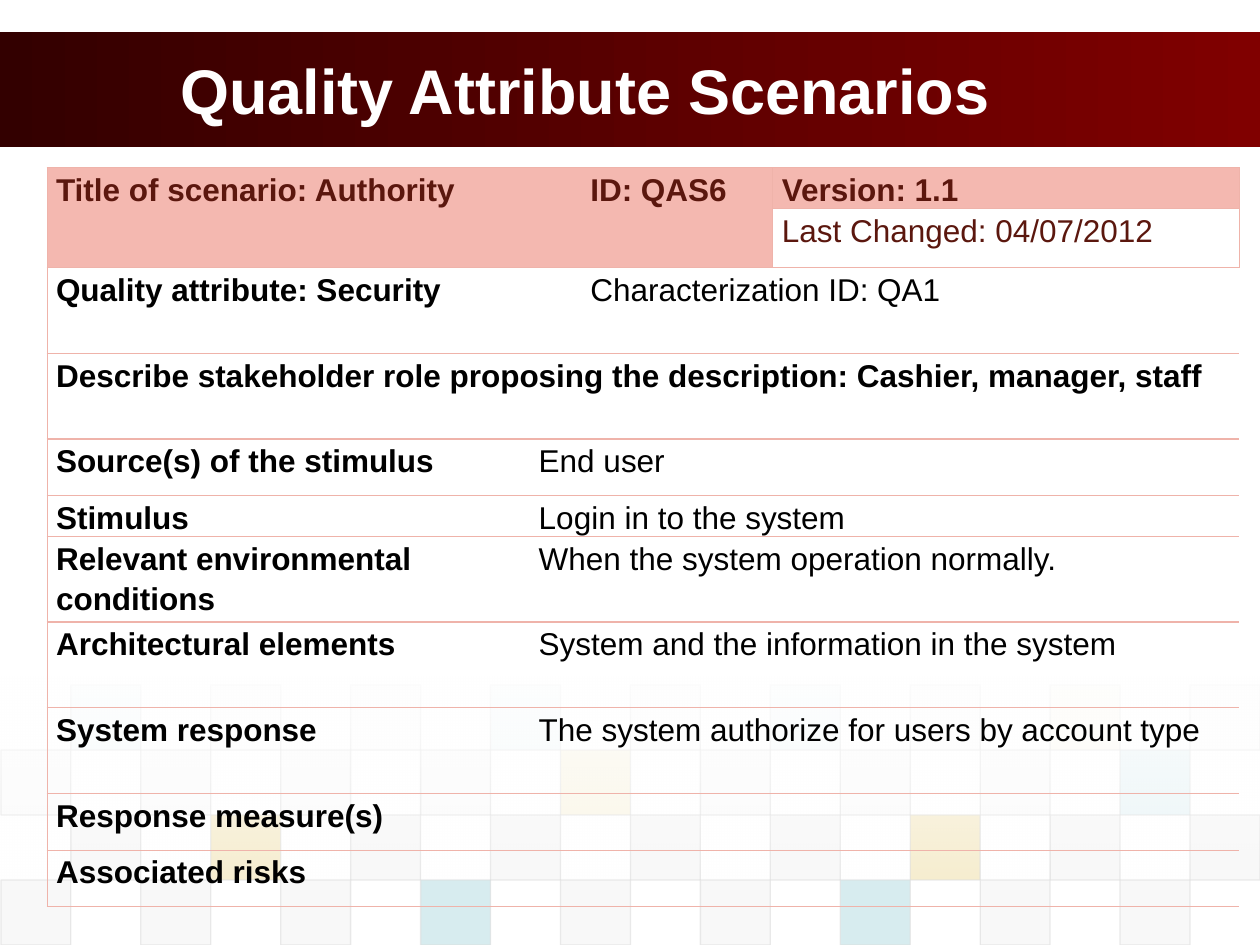
"""Build the Quality Attribute Scenarios slide with its authority scenario table."""
from pptx import Presentation, util as u
from pptx.dml.color import RGBColor
from pptx.enum import shapes, text
from pptx.oxml import ns
from lxml import etree

FONT = "Arial"
BORDER, HEADER_FILL, HEADER_TEXT, BLACK = "EFB3AA", "F4B8B0", "5B170E", "000000"
NO_GRID_STYLE = "{2D5ABB26-0587-4C30-8999-92F81FD0307C}"

COLUMNS = [9.73, 1.04, 3.86, 9.4]
ROWS = [0.82, 1.19, 1.73, 1.73, 1.14, 0.82, 1.73, 1.73, 1.73, 1.14, 1.14]
HEADER = [
    (0, 0, 2, 2, "Title of scenario: Authority", True),
    (0, 2, 2, 1, "ID: QAS6", True),
    (0, 3, 1, 1, "Version: 1.1", True),
    (1, 3, 1, 1, "Last Changed: 04/07/2012", False),
]
WIDE = [
    (2, 0, 1, 2, "Quality attribute: Security", True),
    (2, 2, 1, 2, "Characterization ID: QA1", False),
    (3, 0, 1, 4, "Describe stakeholder role proposing the description: Cashier, manager, staff", True),
]
DETAILS = [
    ("Source(s) of the stimulus", "End user"),
    ("Stimulus", "Login in to the system"),
    ("Relevant environmental conditions", "When the system operation normally."),
    ("Architectural elements", "System and the information in the system"),
    ("System response", "The system authorize for users by account type"),
    ("Response measure(s)", ""),
    ("Associated risks", ""),
]

TILE_COLORS = {"G": "DDDDDD", "L": "EAEAEA", "T": "38A3B2", "O": "D3A911"}
TILE_ROWS = [(1, 5, "TLLTGTLOL"), (0, 10, "GGGGOGGGT"), (1, 20, "GOGGGGOGG"), (0, 20, "GGGTGGTGG")]
TILE_WIDTH, TILE_HEIGHT, TILE_TOP = 1.41, 1.31, 13.81


def rgb(value):
    return RGBColor.from_string(value)


def set_opacity(element, percents):
    for color, percent in zip(element.iter(ns.qn("a:srgbClr")), percents):
        etree.SubElement(color, ns.qn("a:alpha"), val=str(percent * 1000))


def add_rectangle(slide, box, colors, opacities, angle=0, line=None):
    shape = slide.shapes.add_shape(shapes.MSO_SHAPE.RECTANGLE, *map(u.Cm, box))
    shape.shadow.inherit = False
    if len(colors) == 1:
        shape.fill.solid()
        shape.fill.fore_color.rgb = rgb(colors[0])
    else:
        shape.fill.gradient()
        shape.fill.gradient_angle = angle
        for stop, color in zip(shape.fill.gradient_stops, colors):
            stop.color.rgb = rgb(color)
    if line:
        shape.line.color.rgb = rgb(line)
        shape.line.width = u.Pt(0.75)
    else:
        shape.line.fill.background()
    set_opacity(shape._element.spPr, opacities)


def write(frame, content, size=18, color=BLACK, bold=False, spacing=1.15):
    paragraph = frame.paragraphs[0]
    paragraph.alignment = text.PP_ALIGN.LEFT
    paragraph.line_spacing = spacing
    paragraph.font.size = u.Pt(size)
    if content:
        run = paragraph.add_run()
        run.text = content
        run.font.name, run.font.size, run.font.bold = FONT, u.Pt(size), bold
        run.font.color.rgb = rgb(color)


def set_borders(cell, sides):
    properties = cell._tc.get_or_add_tcPr()
    for side in ("L", "R", "T", "B"):
        line = etree.SubElement(properties, ns.qn(f"a:ln{side}"), w=str(u.Pt(0.75)))
        if side in sides:
            fill = etree.SubElement(line, ns.qn("a:solidFill"))
            etree.SubElement(fill, ns.qn("a:srgbClr"), val=BORDER)
        else:
            etree.SubElement(line, ns.qn("a:noFill"))


def add_mosaic(slide):
    for row, (offset, opacity, tiles) in enumerate(TILE_ROWS):
        for index, tile in enumerate(tiles):
            left = 0.02 + (2 * index + offset) * TILE_WIDTH
            box = (left, TILE_TOP + row * TILE_HEIGHT, TILE_WIDTH, TILE_HEIGHT)
            add_rectangle(slide, box, [TILE_COLORS[tile]], [opacity, 60], line="DDDDDD")
    add_rectangle(slide, (0, 13.64, 25.4, 4.11), ["FFFFFF", "FFFFFF"], [90, 0], angle=270)


def add_title(slide, content):
    title = slide.shapes.title
    title.left, title.top, title.width, title.height = map(u.Cm, (3.38, 0.64, 20.52, 2.33))
    title.text_frame.vertical_anchor = text.MSO_ANCHOR.MIDDLE
    write(title.text_frame, content, size=36, color="FFFFFF", bold=True, spacing=1.0)
    slide.shapes._spTree.append(title._element)


def add_scenario_table(slide):
    frame = slide.shapes.add_table(len(ROWS), len(COLUMNS), u.Cm(0.95), u.Cm(3.38),
                                   u.Cm(sum(COLUMNS)), u.Cm(sum(ROWS)))
    table = frame.table
    table.first_row = table.horz_banding = False
    table._tbl.tblPr.find(ns.qn("a:tableStyleId")).text = NO_GRID_STYLE
    for column, width in zip(table.columns, COLUMNS):
        column.width = u.Cm(width)
    for row, height in zip(table.rows, ROWS):
        row.height = u.Cm(height)

    last = len(COLUMNS) - 1
    entries = HEADER + WIDE
    for row, (label, value) in enumerate(DETAILS, start=4):
        entries += [(row, 0, 1, 1, label, True), (row, 1, 1, last, value, False)]

    for row, column, height, width, content, bold in entries:
        in_header = row < 2
        end_row, end_column = row + height - 1, column + width - 1
        for r in range(row, end_row + 1):
            for c in range(column, end_column + 1):
                sides = "T" * (r == row) + "B" * (r == end_row)
                sides += "L" * (c == 0 or (in_header and c == last)) + "R" * (c == last)
                set_borders(table.cell(r, c), sides)
        cell = table.cell(row, column)
        if height * width > 1:
            cell.merge(table.cell(end_row, end_column))
        cell.margin_left = cell.margin_right = u.Cm(0.18)
        cell.margin_top = cell.margin_bottom = 0
        if in_header and bold:
            cell.fill.solid()
            cell.fill.fore_color.rgb = rgb(HEADER_FILL)
        else:
            cell.fill.background()
        write(cell.text_frame, content, color=HEADER_TEXT if in_header else BLACK, bold=bold)


def main():
    presentation = Presentation()
    presentation.slide_width, presentation.slide_height = u.Cm(25.4), u.Cm(19.05)
    slide = presentation.slides.add_slide(presentation.slide_layouts[5])
    add_rectangle(slide, (0, 0.64, 25.4, 2.33), ["330000", "800000"], [100, 100])
    add_mosaic(slide)
    add_title(slide, "Quality Attribute Scenarios")
    add_scenario_table(slide)
    presentation.save("out.pptx")


if __name__ == "__main__":
    main()
